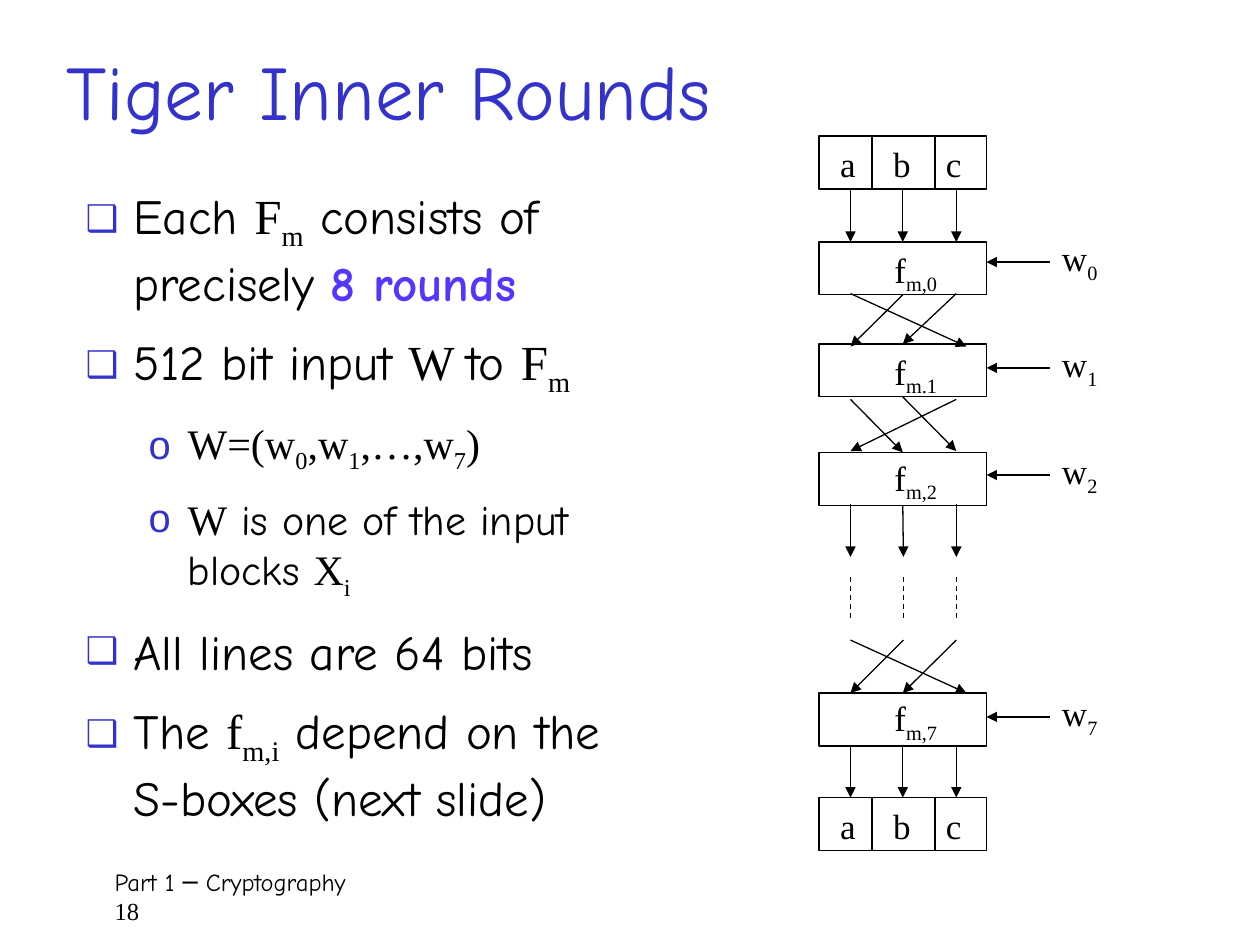
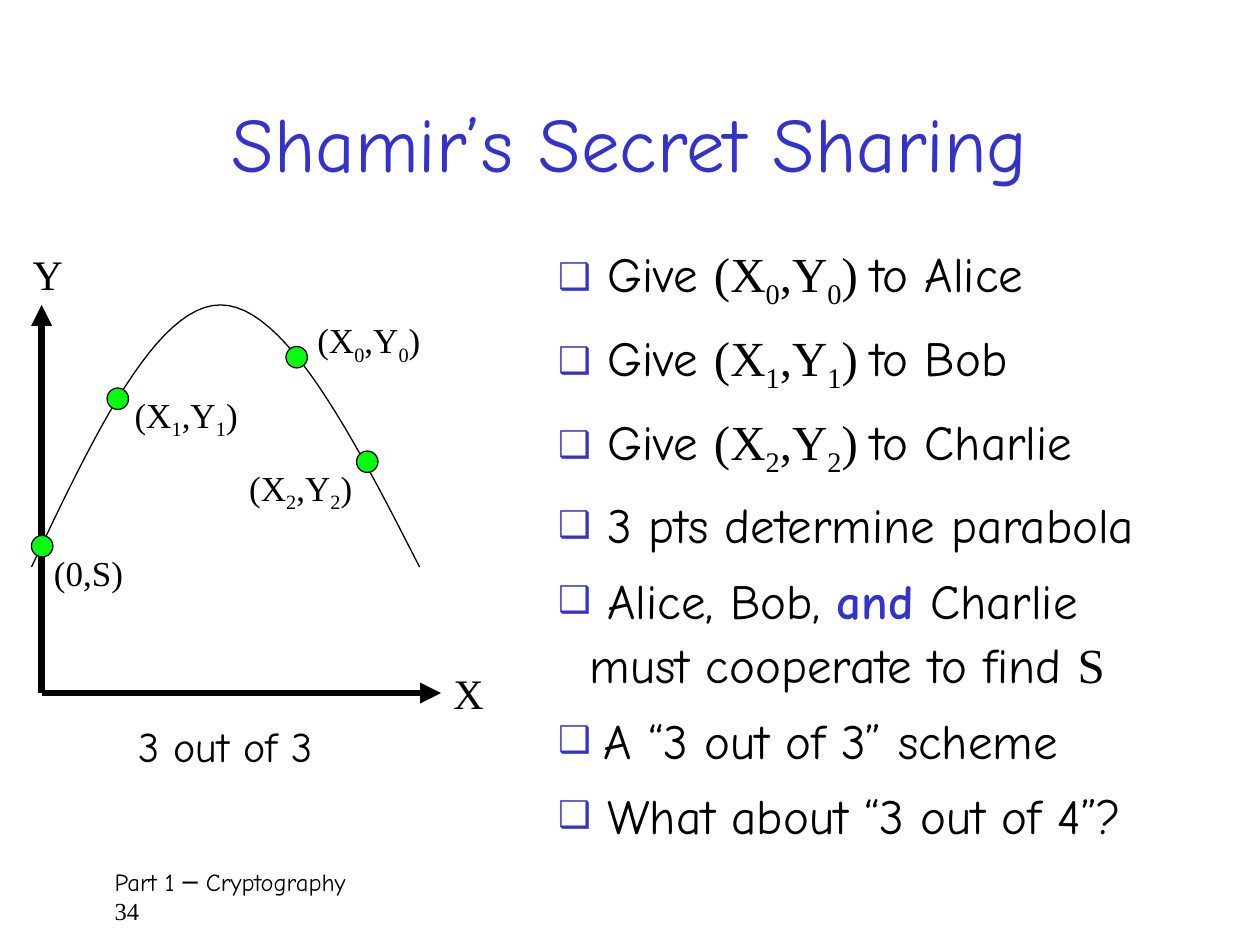
from lxml import etree
from pptx import Presentation
from pptx.dml.color import RGBColor
from pptx.enum.dml import MSO_LINE
from pptx.enum.shapes import MSO_CONNECTOR, MSO_SHAPE
from pptx.enum.text import MSO_ANCHOR, MSO_AUTO_SIZE, PP_ALIGN
from pptx.oxml.ns import qn
from pptx.util import Inches, Pt

STRAIGHT = MSO_CONNECTOR.STRAIGHT
RECT, OVAL = MSO_SHAPE.RECTANGLE, MSO_SHAPE.OVAL
DASH = MSO_LINE.DASH
MIDDLE, TOP = MSO_ANCHOR.MIDDLE, MSO_ANCHOR.TOP
CENTER = PP_ALIGN.CENTER
NO_FIT = MSO_AUTO_SIZE.NONE

COLORS = {"ink": "000000", "blue": "3333CC", "violet": "5437FF", "green": "06FF0E"}
HAND, SERIF = "Comic Neue", "Times New Roman"
TEXT = {"font": HAND}
MATH = {"font": SERIF}
SUB = {"font": SERIF, "sub": True}
ROUNDS_MARK = {"font": HAND, "color": "violet", "bold": True}
AND_MARK = {"font": HAND, "color": "blue", "bold": True}

LANES = LEFT_LANE, MID_LANE, RIGHT_LANE = 6.75, 7.17, 7.59
BOX_LEFT, BOX_W, BOX_H = 6.5, 1.33, 0.42
DOT = 0.17


def rgb(name):
    return RGBColor.from_string(COLORS[name])


def inches(*values):
    return [Inches(v) for v in values]


def add_runs(p, runs, size):
    for text, style in runs:
        r = p.add_run()
        r.text = text
        r.font.name = style["font"]
        r.font.size = Pt(size)
        r.font.bold = style.get("bold", False)
        r.font.color.rgb = rgb(style.get("color", "ink"))
        if style.get("sub"):
            r.font._element.set("baseline", "-25000")


def add_title(s, text, box):
    sp = s.shapes.title
    sp.left, sp.top, sp.width, sp.height = inches(*box)
    tf = sp.text_frame
    tf.auto_size = NO_FIT
    tf.vertical_anchor = MIDDLE
    tf.text = text
    p = tf.paragraphs[0]
    p.alignment = CENTER
    font = p.runs[0].font
    font.name, font.size, font.color.rgb = HAND, Pt(44), rgb("blue")


def add_bullet(p, char, percent, margin, indent):
    pPr = p._p.get_or_add_pPr()
    pPr.set("marL", str(Inches(margin)))
    pPr.set("indent", str(Inches(indent)))
    color = etree.SubElement(pPr, qn("a:buClr"))
    etree.SubElement(color, qn("a:srgbClr"), val=COLORS["blue"])
    etree.SubElement(pPr, qn("a:buSzPct"), val=str(percent * 1000))
    etree.SubElement(pPr, qn("a:buChar"), char=char)


def add_list(s, box, items, margin, spacing=None, before=None):
    sp = s.placeholders[1]
    sp.left, sp.top, sp.width, sp.height = inches(*box)
    tf = sp.text_frame
    tf.auto_size = NO_FIT
    tf.vertical_anchor = TOP
    for i, (level, runs) in enumerate(items):
        p = tf.add_paragraph() if i else tf.paragraphs[0]
        p.level = level
        p.space_after = Pt(6)
        if spacing:
            p.line_spacing = spacing
        if before is not None:
            p.space_before = Pt(before)
        if level:
            add_bullet(p, "o", 95, 0.81, -0.31)
        else:
            add_bullet(p, "❑", 75, margin, -margin)
        add_runs(p, runs, 24 if level else 28)


def add_label(s, box, runs, size=20, spacing=None):
    tf = s.shapes.add_textbox(*inches(*box)).text_frame
    tf.word_wrap = False
    p = tf.paragraphs[0]
    if spacing:
        p.line_spacing = spacing
    add_runs(p, runs, size)


def add_footer(s, number):
    tf = s.shapes.add_textbox(*inches(0.75, 6.83, 8.58, 0.5)).text_frame
    tf.word_wrap = True
    tf.margin_left = Inches(0.16)
    add_runs(tf.paragraphs[0], [("Part 1 ─ Cryptography", TEXT)], 14)
    add_runs(tf.add_paragraph(), [(number, MATH)], 14)


def outline(sp, fill=None):
    sp.shadow.inherit = False
    if fill:
        sp.fill.solid()
        sp.fill.fore_color.rgb = rgb(fill)
    else:
        sp.fill.background()
    sp.line.color.rgb = rgb("ink")
    sp.line.width = Pt(0.75)


def add_box(s, top):
    sp = s.shapes.add_shape(RECT, *inches(BOX_LEFT, top, BOX_W, BOX_H))
    outline(sp)
    return sp


def add_line(s, start, end, width=0.75, arrow=True, dash=None):
    line = s.shapes.add_connector(STRAIGHT, *inches(*start, *end))
    line.line.color.rgb = rgb("ink")
    line.line.width = Pt(width)
    if dash:
        line.line.dash_style = dash
    spPr = line._element.spPr
    if arrow:
        etree.SubElement(spPr.find(qn("a:ln")), qn("a:tailEnd"), type="triangle")
    etree.SubElement(spPr, qn("a:effectLst"))
    return line


def add_strip(s, top):
    for name, left in zip("abc", (6.57, 6.99, 7.41)):
        add_label(s, (left, top + 0.12, 0.36, 0.3), [(name, MATH)], spacing=0.6)
    for x in (6.92, 7.42):
        add_line(s, (x, top + BOX_H), (x, top), arrow=False)
    return add_box(s, top)


def add_round(s, top, label_top, sub, word_top, word):
    add_label(s, (7, label_top, 0.58, 0.43), [("f", MATH), (sub, SUB)])
    add_label(s, (8.33, word_top, 0.5, 0.43), [("w", MATH), (word, SUB)])
    y = word_top + 0.25
    add_line(s, (8.33, y), (BOX_LEFT + BOX_W, y))
    return add_box(s, top)


def add_flow(s, top, bottom, lanes, source=None, target=None):
    for x1, x2 in lanes:
        line = add_line(s, (x1, top), (x2, bottom))
        if source and x1 == MID_LANE:
            line.begin_connect(source, 2)
        if target and x2 == MID_LANE:
            line.end_connect(target, 0)


def add_curve(s, pieces, steps=24):
    points = []
    for piece in pieces:
        for i in range(steps + 1):
            t = i / steps
            weights = ((1 - t) ** 3, 3 * t * (1 - t) ** 2, 3 * t * t * (1 - t), t ** 3)
            points.append([sum(w * pt[axis] for w, pt in zip(weights, piece)) for axis in (0, 1)])
    points = [inches(*pt) for pt in points]
    builder = s.shapes.build_freeform(*points[0])
    builder.add_line_segments(points[1:], close=False)
    outline(builder.convert_to_shape())


def point_runs(i):
    return [("(X", MATH), (i, SUB), (",Y", MATH), (i, SUB), (")", MATH)]


def tiger_slide(prs):
    s = prs.slides.add_slide(prs.slide_layouts[1])
    add_title(s, "Tiger Inner Rounds", (0.17, 0.25, 5.83, 0.92))
    add_footer(s, "18")
    add_list(s, (0.58, 1.42, 4.58, 5.25), [
        (0, [("Each ", TEXT), ("F", MATH), ("m", SUB), (" consists of precisely ", TEXT),
             ("8 rounds", ROUNDS_MARK)]),
        (0, [("512 bit input ", TEXT), ("W ", MATH), ("to ", TEXT), ("F", MATH), ("m", SUB)]),
        (1, [("W=(w", MATH), ("0", SUB), (",w", MATH), ("1", SUB), (",…,w", MATH),
             ("7", SUB), (")", MATH)]),
        (1, [("W", MATH), (" is one of the input blocks ", TEXT), ("X", MATH), ("i", SUB)]),
        (0, [("All lines are 64 bits", TEXT)]),
        (0, [("The ", TEXT), ("f", MATH), ("m,i", SUB),
             (" depend on the S-boxes (next slide)", TEXT)]),
    ], margin=0.38)

    first = add_strip(s, 1.08)
    last = add_strip(s, 6.33)
    f0, f1, f2, f7 = [add_round(s, *row) for row in (
        (1.92, 1.92, "m,0", 1.83, "0"),
        (2.73, 2.73, "m.1", 2.67, "1"),
        (3.59, 3.57, "m,2", 3.52, "2"),
        (5.5, 5.48, "m,7", 5.44, "7"),
    )]
    straight = list(zip(LANES, LANES))
    rotate_left = [(MID_LANE, LEFT_LANE), (RIGHT_LANE, MID_LANE), (LEFT_LANE, 7.67)]
    rotate_right = [(RIGHT_LANE, LEFT_LANE), (LEFT_LANE, MID_LANE), (MID_LANE, RIGHT_LANE)]
    add_flow(s, 1.5, 1.92, straight, first, f0)
    add_flow(s, 2.33, 2.75, rotate_left, f0, f1)
    add_flow(s, 3.17, 3.58, rotate_right, f1, f2)
    add_flow(s, 4, 4.42, straight, f2)
    add_flow(s, 5.08, 5.5, rotate_left, target=f7)
    add_flow(s, 5.92, 6.33, straight, f7, last)
    for x in LANES:
        add_line(s, (x, 4.58), (x, 4.92), arrow=False, dash=DASH)


def shamir_slide(prs):
    s = prs.slides.add_slide(prs.slide_layouts[1])
    add_title(s, "Shamir’s Secret Sharing", (0.75, 0.5, 8.5, 1.25))
    add_footer(s, "34")
    gifts = [(0, [(" Give ", TEXT), *point_runs(i), (" ", MATH), (f"to {name}", TEXT)])
             for i, name in zip("012", ("Alice", "Bob", "Charlie"))]
    add_list(s, (4.33, 1.83, 5.17, 4.74), gifts + [
        (0, [(" 3 pts determine parabola", TEXT)]),
        (0, [(" Alice, Bob, ", TEXT), ("and", AND_MARK),
             (" Charlie must cooperate to find ", TEXT), ("S", MATH)]),
        (0, [(" ", MATH), ("A “3 out of 3” scheme", TEXT)]),
        (0, [(" What about “3 out of 4”?", TEXT)]),
    ], margin=0.25, spacing=1.1, before=0)

    origin = (0.33, 5.5)
    for end in ((3.5, 5.5), (0.33, 2.42)):
        add_line(s, origin, end, width=4)
    add_curve(s, [
        ((0.25, 4.5), (0.74, 3.46), (1.24, 2.42), (1.75, 2.42)),
        ((1.75, 2.42), (2.26, 2.42), (2.8, 3.46), (3.33, 4.5)),
    ])
    for left, top in ((0.25, 4.25), (0.85, 3.08), (2.27, 2.75), (2.83, 3.58)):
        outline(s.shapes.add_shape(OVAL, *inches(left, top, DOT, DOT)), "green")
    for i, left, top in (("0", 2.42, 2.48), ("1", 0.97, 3.07), ("2", 1.88, 3.65)):
        add_label(s, (left, top, 1.03, 0.43), point_runs(i))
    add_label(s, (0.33, 4.33, 0.8, 0.43), [("(0,S)", MATH)])
    add_label(s, (3.5, 5.25, 0.42, 0.5), [("X", MATH)], 24)
    add_label(s, (0.16, 1.92, 0.42, 0.5), [("Y", MATH)], 24)
    add_label(s, (1, 5.67, 1.76, 0.57), [("3 out of 3", TEXT)], 24)


def main():
    prs = Presentation()
    prs.slide_width, prs.slide_height = inches(10, 7.5)
    tiger_slide(prs)
    shamir_slide(prs)
    prs.save("out.pptx")


if __name__ == "__main__":
    main()
